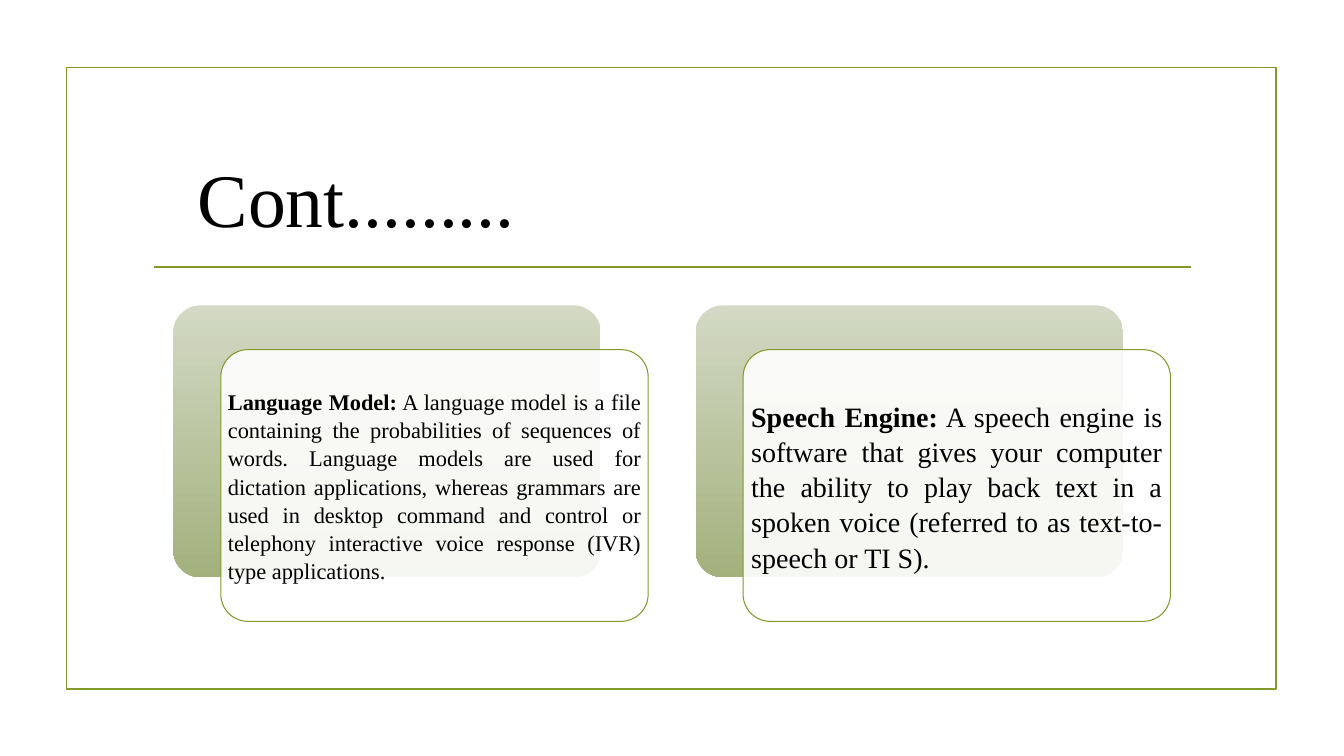
"""Build a title slide with two offset text cards inside a thin frame."""
from dataclasses import dataclass

from lxml import etree
from pptx import Presentation
from pptx.dml.color import RGBColor
from pptx.enum.shapes import MSO_CONNECTOR, MSO_SHAPE
from pptx.enum.text import MSO_ANCHOR, MSO_AUTO_SIZE, PP_ALIGN
from pptx.oxml.ns import qn
from pptx.util import Emu, Inches, Pt

RECTANGLE = MSO_SHAPE.RECTANGLE
ROUNDED = MSO_SHAPE.ROUNDED_RECTANGLE
STRAIGHT = MSO_CONNECTOR.STRAIGHT
TOP, MIDDLE = MSO_ANCHOR.TOP, MSO_ANCHOR.MIDDLE
LEFT, JUSTIFY = PP_ALIGN.LEFT, PP_ALIGN.JUSTIFY
NO_AUTOFIT = MSO_AUTO_SIZE.NONE
TITLE_ONLY = 5
GRID = 100

CARDS = [
    ("Language Model:",
     " A language model is a file containing the probabilities of sequences of words. "
     "Language models are used for dictation applications, whereas grammars are used in "
     "desktop command and control or telephony interactive voice response (IVR) type "
     "applications.", 16, 0.07),
    ("Speech Engine:",
     " A speech engine is software that gives your computer the ability to play back "
     "text in a spoken voice (referred to as text-to-speech or TI S).", 20, 0.08),
]


@dataclass(frozen=True)
class Theme:
    """Colours, type and line weights of the slide."""
    font: str = "Times New Roman"
    ink: str = "000000"
    paper: str = "FFFFFF"
    accent: str = "83992A"
    shade_top: str = "D3D9C4"
    shade_bottom: str = "A3B17D"
    title_size: int = 54
    line_spacing: float = 1.05
    rule_width: float = 1.25
    card_line: float = 0.75
    corner: float = 0.1
    card_opacity: int = 90


@dataclass(frozen=True)
class Box:
    """A rectangle that can hand out areas of itself."""
    left: float
    top: float
    width: float
    height: float

    def share(self, left, top, width, height):
        """Return an inner box given as shares of this one."""
        return Box(self.left + left * self.width, self.top + top * self.height,
                   width * self.width, height * self.height)

    def cells(self, column, row, columns, rows):
        """Return an inner box given in grid columns and rows."""
        return self.share(column / GRID, row / GRID, columns / GRID, rows / GRID)

    def place(self):
        """Return left, top, width and height as whole lengths."""
        return [Emu(round(side)) for side in (self.left, self.top, self.width, self.height)]


THEME = Theme()


def colour(value):
    """Return a colour from its hex code."""
    return RGBColor.from_string(value)


def write_text(shape, pieces, size, anchor=TOP, align=LEFT, margins=(0.1, 0.05)):
    """Write (text, bold) pieces as one paragraph."""
    frame = shape.text_frame
    frame.word_wrap = True
    frame.auto_size = NO_AUTOFIT
    frame.vertical_anchor = anchor
    frame.margin_left = frame.margin_right = Inches(margins[0])
    frame.margin_top = frame.margin_bottom = Inches(margins[1])
    para = frame.paragraphs[0]
    para.alignment = align
    para.line_spacing = THEME.line_spacing
    for text, bold in pieces:
        span = para.add_run()
        span.text = text
        span.font.name = THEME.font
        span.font.size = Pt(size)
        span.font.bold = bold
        span.font.color.rgb = colour(THEME.ink)


def add_panel(slide, kind, box, line_width=None):
    """Add an unfilled shape, outlined if a line width is given."""
    panel = slide.shapes.add_shape(kind, *box.place())
    panel.shadow.inherit = False
    panel.fill.background()
    if kind == ROUNDED:
        panel.adjustments[0] = THEME.corner
    if line_width is None:
        panel.line.fill.background()
    else:
        panel.line.color.rgb = colour(THEME.accent)
        panel.line.width = Pt(line_width)
    return panel


def add_frame(slide, box):
    """Draw the border around the slide's content."""
    add_panel(slide, RECTANGLE, box, THEME.rule_width)


def add_heading(slide, box, text):
    """Place the title and the rule beneath it."""
    left, top, width, height = box.place()
    rule = slide.shapes.add_connector(STRAIGHT, left, top + height, left + width, top + height)
    rule.line.color.rgb = colour(THEME.accent)
    rule.line.width = Pt(THEME.rule_width)
    etree.SubElement(rule._element.spPr, qn("a:effectLst"))
    title = slide.shapes.title
    title.left, title.top, title.width, title.height = box.cells(3.21, 0, 52.72, 81.45).place()
    write_text(title, [(text, False)], THEME.title_size)


def add_card(slide, box, heading, body, size, margin):
    """Draw a shaded panel with a text panel offset over it."""
    back = add_panel(slide, ROUNDED, box.share(0, 0, 0.9, 0.86))
    back.fill.gradient()
    back.fill.gradient_angle = 270
    for stop, shade in zip(back.fill.gradient_stops, (THEME.shade_top, THEME.shade_bottom)):
        stop.color.rgb = colour(shade)

    front_box = box.share(0.1, 0.14, 0.9, 0.86)
    front = add_panel(slide, ROUNDED, front_box, THEME.card_line)
    front.fill.solid()
    front.fill.fore_color.rgb = colour(THEME.paper)
    paint = front._element.spPr.find(qn("a:solidFill"))[0]
    etree.SubElement(paint, qn("a:alpha"), val=str(THEME.card_opacity * 1000))

    label = slide.shapes.add_textbox(*front_box.place())
    write_text(label, [(heading, True), (body, False)], size, MIDDLE, JUSTIFY, (margin, margin))


def add_cards(slide, box):
    """Set the cards side by side with an equal pitch."""
    card_columns = 47.62
    pitch = (GRID - card_columns) / (len(CARDS) - 1)
    for index, card in enumerate(CARDS):
        add_card(slide, box.cells(index * pitch, 0, card_columns, GRID), *card)


def main():
    """Build and save the deck."""
    deck = Presentation()
    deck.slide_width, deck.slide_height = Inches(13.33), Inches(7.5)
    slide = deck.slides.add_slide(deck.slide_layouts[TITLE_ONLY])
    page = Box(0, 0, deck.slide_width, deck.slide_height)
    add_frame(slide, page.cells(4.95, 8.93, 90, 82.27))
    add_heading(slide, page.cells(11.48, 18.8, 77.12, 16.53), "Cont.........")
    add_cards(slide, page.cells(12.9, 40.4, 74.19, 41.8))
    deck.save("out.pptx")


if __name__ == "__main__":
    main()
